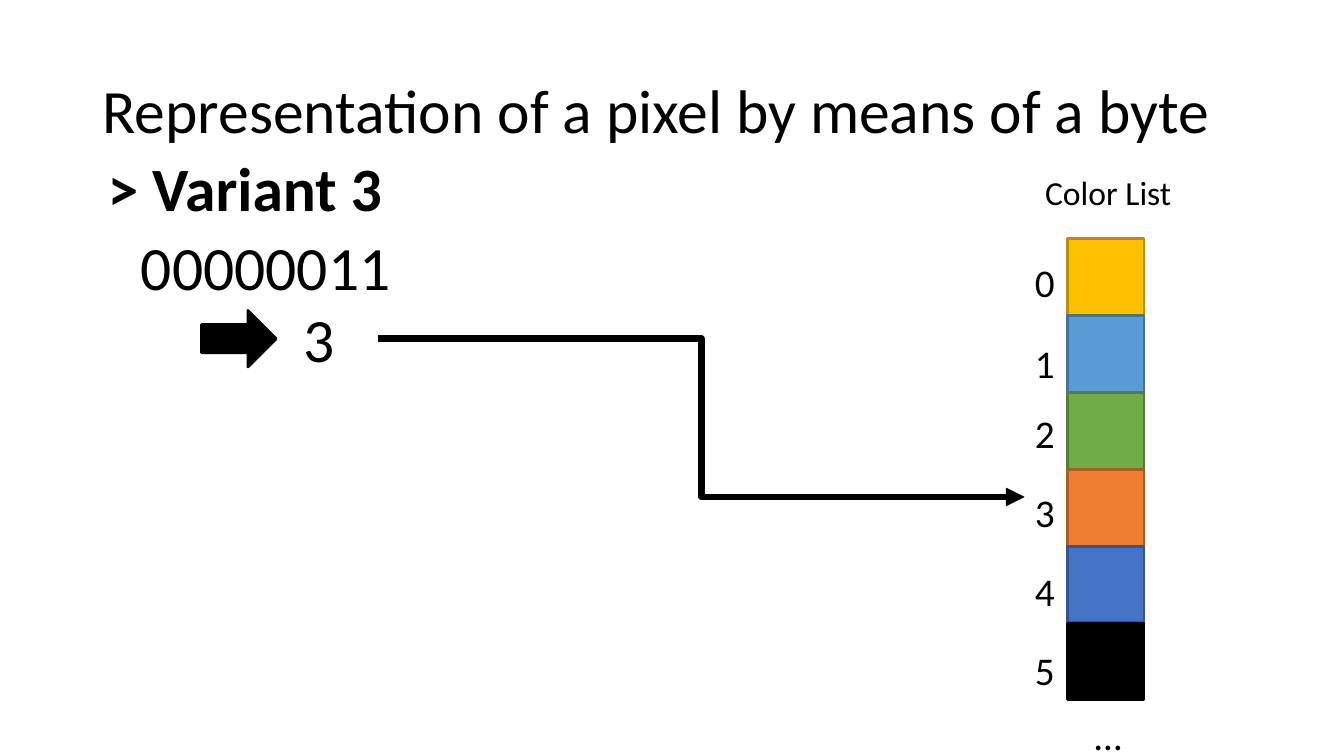
from dataclasses import dataclass

from lxml.etree import SubElement
from pptx import Presentation
from pptx.dml.color import RGBColor
from pptx.enum.shapes import MSO_CONNECTOR as Link, MSO_SHAPE as Form
from pptx.enum.text import MSO_ANCHOR as Anchor, MSO_AUTO_SIZE as Fit
from pptx.oxml.ns import qn
from pptx.shapes.autoshape import Shape
from pptx.slide import Slide
from pptx.util import Pt

FONT = "Calibri"
BLACK = RGBColor(0x00, 0x00, 0x00)
GOLD = RGBColor(0xFF, 0xC0, 0x00)
GOLD_EDGE = RGBColor(0xBD, 0x8E, 0x00)
SKY = RGBColor(0x5B, 0x9B, 0xD5)
SKY_EDGE = RGBColor(0x43, 0x73, 0x9E)
GREEN = RGBColor(0x70, 0xAD, 0x47)
GREEN_EDGE = RGBColor(0x53, 0x80, 0x35)
ORANGE = RGBColor(0xED, 0x7D, 0x31)
ORANGE_EDGE = RGBColor(0xAF, 0x5C, 0x24)
BLUE = RGBColor(0x44, 0x72, 0xC4)
BLUE_EDGE = RGBColor(0x32, 0x54, 0x91)

# Color list grid, in points
LIST_LEFT, LIST_TOP = 762.5, 170.6
SIDE, PITCH = 54.7, 54.9
INDEX_LEFT = 732.2


@dataclass
class Label:
    text: str
    left: float
    top: float
    width: float
    height: float
    size: float = 44
    bold: bool = False
    spacing: float = 1.0
    anchor: Anchor = Anchor.TOP
    fit: Fit = Fit.SHAPE_TO_FIT_TEXT


@dataclass
class Swatch:
    fill: RGBColor
    edge: RGBColor
    index_top: float


LABELS = [
    Label("Representation of a pixel by means of a byte", 66.2, 28.8, 828, 104.4,
          spacing=0.9, anchor=Anchor.MIDDLE, fit=Fit.NONE),
    Label("> Variant 3", 69.8, 103.7, 214.6, 59.8, bold=True),
    Label("00000011", 93.6, 159.8, 195.8, 59.8),
    Label("3", 209.5, 211.7, 43.9, 59.8),
    Label("Color List", 739.4, 119.5, 195.8, 36, size=24),
]

SWATCHES = [
    Swatch(GOLD, GOLD_EDGE, 164.2),
    Swatch(SKY, SKY_EDGE, 221.8),
    Swatch(GREEN, GREEN_EDGE, 272.2),
    Swatch(ORANGE, ORANGE_EDGE, 328.3),
    Swatch(BLUE, BLUE_EDGE, 385.2),
    Swatch(BLACK, BLACK, 441.4),
]


def write(slide: Slide, label: Label) -> None:
    box = slide.shapes.add_textbox(
        Pt(label.left), Pt(label.top), Pt(label.width), Pt(label.height))
    frame = box.text_frame
    frame.text = label.text
    frame.word_wrap = True
    frame.auto_size = label.fit
    frame.vertical_anchor = label.anchor
    line = frame.paragraphs[0]
    line.line_spacing = label.spacing
    font = line.runs[0].font
    font.name, font.size, font.bold = FONT, Pt(label.size), label.bold
    font.color.rgb = BLACK


def mark(slide: Slide, text: str, left: float, top: float) -> None:
    write(slide, Label(text, left, top, 30.2, 57.6, size=28, spacing=1.5))


def draw(slide: Slide, form: Form, left: float, top: float, width: float,
         height: float, fill: RGBColor, edge: RGBColor) -> Shape:
    shape = slide.shapes.add_shape(form, Pt(left), Pt(top), Pt(width), Pt(height))
    shape.shadow.inherit = False
    shape.fill.solid()
    shape.fill.fore_color.rgb = fill
    shape.line.color.rgb = edge
    shape.line.width = Pt(2)
    return shape


def point(slide: Slide) -> None:
    link = slide.shapes.add_connector(
        Link.ELBOW, Pt(270), Pt(241.9), Pt(732), Pt(355))
    link.line.color.rgb = BLACK
    link.line.width = Pt(4.5)
    SubElement(link.line._get_or_add_ln(), qn("a:tailEnd"), type="triangle")
    SubElement(link._element.spPr, qn("a:effectLst"))


def main() -> None:
    deck = Presentation()
    deck.slide_width, deck.slide_height = Pt(960), Pt(540)
    slide = deck.slides.add_slide(deck.slide_layouts[6])

    # Title, byte value and headings
    for label in LABELS:
        write(slide, label)

    # Color list with its indices
    for row, swatch in enumerate(SWATCHES):
        draw(slide, Form.RECTANGLE, LIST_LEFT, LIST_TOP + row * PITCH,
             SIDE, SIDE, swatch.fill, swatch.edge)
        mark(slide, str(row), INDEX_LEFT, swatch.index_top)
    mark(slide, "…", 774.7, 487.4)

    # Arrows from byte to number to color
    draw(slide, Form.RIGHT_ARROW, 144, 221.8, 53.3, 40.3, BLACK, BLACK)
    point(slide)

    deck.save("out.pptx")


if __name__ == "__main__":
    main()
